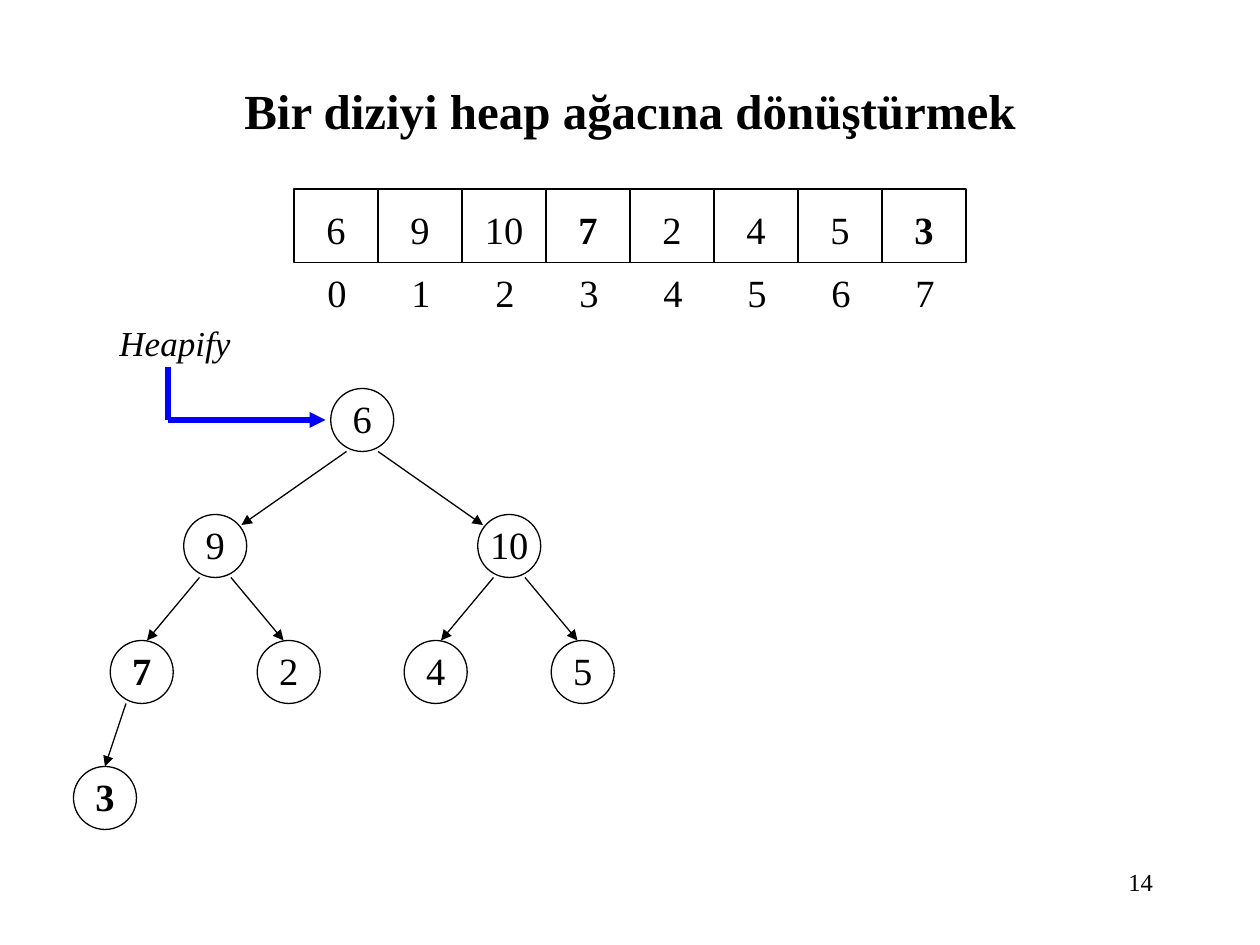
from lxml.etree import SubElement
from pptx import Presentation
from pptx.dml.color import RGBColor
from pptx.enum.shapes import MSO_CONNECTOR, MSO_SHAPE
from pptx.enum.text import MSO_ANCHOR, MSO_AUTO_SIZE, PP_ALIGN
from pptx.oxml.ns import qn
from pptx.util import Pt

BLACK = RGBColor(0x00, 0x00, 0x00)
BLUE = RGBColor(0x00, 0x00, 0xFF)
FONT = "Times New Roman"

HEAP = [6, 9, 10, 7, 2, 4, 5, 3]
CHANGED = {3, 7}

CELL_LEFT, CELL_TOP, CELL_WIDTH, CELL_HEIGHT = 168, 108, 48, 42
NODE_SIZE = 36
ROOT_X, ROOT_TOP, LEVEL_STEP = 207, 222, 72
ROOT_SPREAD = 84
EDGE_START = 9
EDGE_ENDS = {1: (15, 6), 2: (3, 0), 3: (0, 0)}


class HeapSlide:
    def __init__(self, slide):
        self.shapes = slide.shapes

    def text(self, wording, left, top, width, height, size=22, bold=False,
             italic=False, align=PP_ALIGN.CENTER, anchor=MSO_ANCHOR.MIDDLE,
             wrap=False, grow=True, space_before=0):
        box = self.shapes.add_textbox(Pt(left), Pt(top), Pt(width), Pt(height))
        frame = box.text_frame
        frame.word_wrap = wrap
        frame.auto_size = MSO_AUTO_SIZE.SHAPE_TO_FIT_TEXT if grow else MSO_AUTO_SIZE.NONE
        frame.vertical_anchor = anchor
        paragraph = frame.paragraphs[0]
        paragraph.alignment = align
        paragraph.space_before = Pt(space_before)
        run = paragraph.add_run()
        run.text = wording
        run.font.name = FONT
        run.font.size = Pt(size)
        run.font.bold = bold
        run.font.italic = italic
        run.font.color.rgb = BLACK

    def outline(self, preset, left, top, width, height):
        shape = self.shapes.add_shape(preset, Pt(left), Pt(top), Pt(width), Pt(height))
        shape.shadow.inherit = False
        shape.fill.background()
        shape.line.color.rgb = BLACK
        shape.line.width = Pt(0.75)

    def value(self, wording, center, top, bold):
        width = 14.5 + 11.5 * len(wording)
        self.text(wording, center - width / 2, top, width, 34, bold=bold)

    def node(self, wording, center, top, bold):
        self.outline(MSO_SHAPE.OVAL, center - NODE_SIZE / 2, top, NODE_SIZE, NODE_SIZE)
        self.value(wording, center, top, bold)

    def cell(self, index, wording, bold):
        left = CELL_LEFT + index * CELL_WIDTH
        self.outline(MSO_SHAPE.RECTANGLE, left, CELL_TOP, CELL_WIDTH, CELL_HEIGHT)
        self.value(wording, left + CELL_WIDTH / 2, CELL_TOP + 6, bold)
        self.text(str(index), left + 12, CELL_TOP + CELL_HEIGHT, 24, 34,
                  anchor=MSO_ANCHOR.TOP, wrap=True, space_before=13.8)

    def line(self, x1, y1, x2, y2, color=BLACK, width=0.75, arrow=True):
        line = self.shapes.add_connector(
            MSO_CONNECTOR.STRAIGHT, Pt(x1), Pt(y1), Pt(x2), Pt(y2))
        line.line.color.rgb = color
        line.line.width = Pt(width)
        if arrow:
            SubElement(line.line._get_or_add_ln(), qn("a:tailEnd"), type="triangle")
        SubElement(line._element.spPr, qn("a:effectLst"))


def node_place(index):
    if index == 0:
        return ROOT_X, 0
    parent_x, parent_level = node_place((index - 1) // 2)
    side = -1 if index % 2 else 1
    return parent_x + side * ROOT_SPREAD / 2 ** parent_level, parent_level + 1


def level_top(level):
    return ROOT_TOP + level * LEVEL_STEP


def main():
    deck = Presentation()
    deck.slide_width, deck.slide_height = Pt(720), Pt(540)
    page = HeapSlide(deck.slides.add_slide(deck.slide_layouts[6]))

    page.text("14", 516, 492, 150, 36, size=14, align=PP_ALIGN.RIGHT,
              anchor=MSO_ANCHOR.TOP, wrap=True, grow=False)
    page.text("Bir diziyi heap ağacına dönüştürmek", 54, 36, 612, 54,
              size=28, bold=True, wrap=True, grow=False)

    for index, number in enumerate(HEAP):
        center, level = node_place(index)
        page.node(str(number), center, level_top(level), index in CHANGED)

    for index in range(1, len(HEAP)):
        child_x, level = node_place(index)
        parent_x, parent_level = node_place((index - 1) // 2)
        side = -1 if index % 2 else 1
        inset, drop = EDGE_ENDS[level]
        page.line(parent_x + side * EDGE_START, level_top(parent_level) + NODE_SIZE,
                  child_x - side * inset, level_top(level) + drop)

    for index, number in enumerate(HEAP):
        page.cell(index, str(number), index in CHANGED)

    page.text("Heapify", 61, 179.5, 78, 32, size=20, italic=True)
    page.line(96, 210, 96, 240, BLUE, 3, arrow=False)
    page.line(96, 240, 186, 240, BLUE, 3)

    deck.save("out.pptx")


if __name__ == "__main__":
    main()
